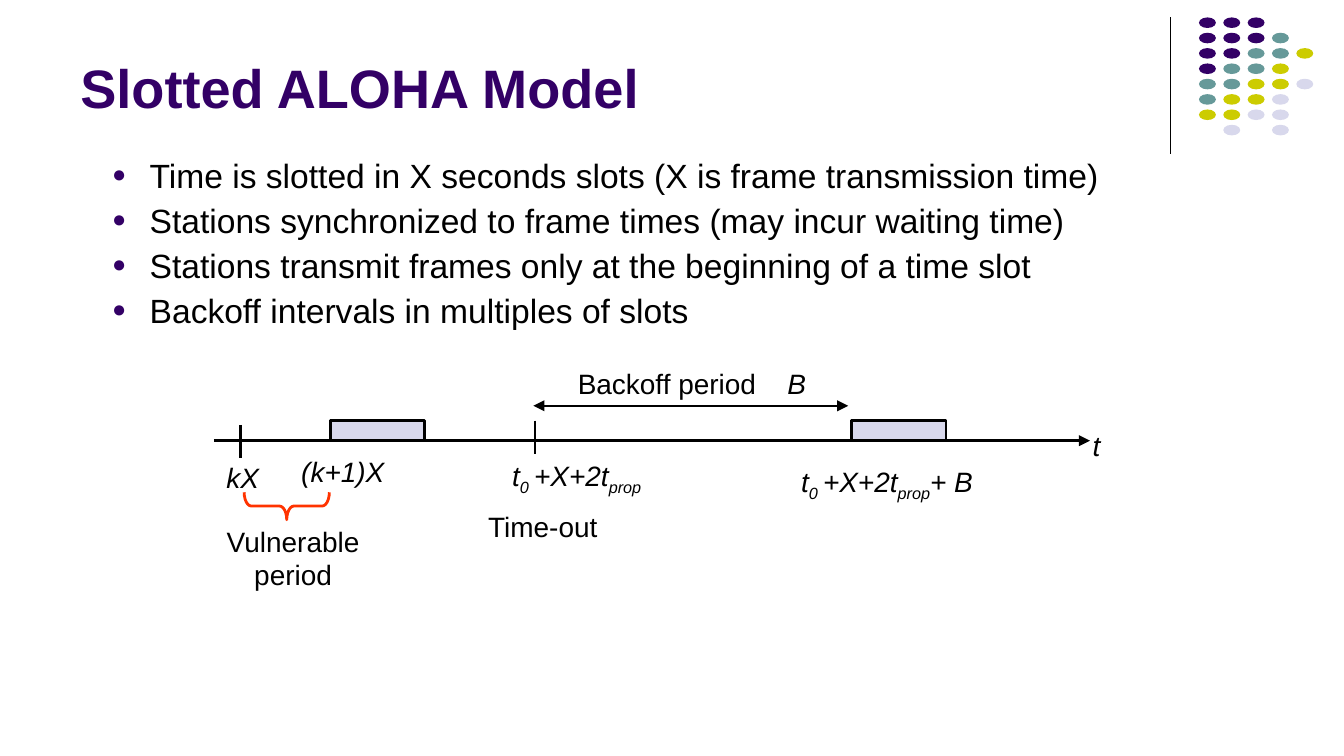
from lxml import etree
from pptx import Presentation
from pptx import util as u
from pptx.dml.color import RGBColor
from pptx.enum import shapes, text
from pptx.oxml import ns

INK = RGBColor(0, 0, 0)
PLUM = RGBColor(0x33, 0x00, 0x66)
TEAL = RGBColor(0x66, 0x99, 0x99)
LIME = RGBColor(0xCC, 0xCC, 0x00)
MIST = RGBColor(0xD8, 0xD8, 0xEC)
RED = RGBColor(0xFF, 0x33, 0x00)
FONT = "Arial"

# Content, lengths in cm
TITLE = "Slotted ALOHA Model"
POINTS = [
    "Time is slotted in X seconds slots (X is frame transmission time)",
    "Stations synchronized to frame times (may incur waiting time)",
    "Stations transmit frames only at the beginning of a time slot",
    "Backoff intervals in multiples of slots",
]
DOTS = ["PPP", "PPPT", "PPTTL", "PTTL", "TTLLM", "TLLM", "LLMM", " M M"]
HUES = {"P": PLUM, "T": TEAL, "L": LIME, "M": MIST}

AXIS = 8.33  # height of the time axis
FRAMES = [6.25, 16.1]  # left edges
FRAME = (1.78, 0.38)
# start, end, width in points, ends that carry an arrowhead
LINES = [
    ((22.12, 0.33), (22.12, 2.92), 0.75, ()),
    ((4.04, AXIS), (20.6, AXIS), 1.5, ("tailEnd",)),
    ((4.55, 8.03), (4.55, 8.66), 1.5, ()),
    ((10.11, 7.95), (10.11, 8.58), 1.5, ()),
    ((10.08, 7.67), (16.03, 7.67), 1, ("headEnd", "tailEnd")),
]
# Runs are (text, marks): i italic, _ subscript, s small
TIMER = [("t", "i"), ("0", "i_"), (" ", "is"), ("+X+2t", "i"), ("prop", "i_")]
LABELS = [
    ([("t", "i")], (20.6, 8.1, 0.25, 0.64), "CENTER"),
    ([("(k+1)X", "i")], (5.58, 8.59, 1.8, 0.64), "CENTER"),
    ([("kX", "i")], (4.19, 8.71, 0.8, 0.64), "CENTER"),
    (TIMER, (9.68, 8.66, 4.42, 0.71), "LEFT"),
    (TIMER + [("+ B", "i")], (15.14, 8.79, 4.39, 0.71), "LEFT"),
    ([("Vulnerable", ""), ("\v", ""), ("period", "")],
     (4.27, 9.91, 2.54, 1.27), "CENTER"),
    ([("Time-out", "")], (9.16, 9.63, 2.2, 0.64), "CENTER"),
    ([("Backoff period\t", ""), ("B", "i")], (10.92, 6.93, 4.62, 0.64), "LEFT"),
]
TAB = 3.96  # tab stop between "Backoff period" and B

deck = Presentation()
deck.slide_width, deck.slide_height = u.Cm(25.4), u.Cm(14.29)
page = deck.slides.add_slide(deck.slide_layouts[6])


def add_node(parent, name, **attrs):
    return etree.SubElement(parent, ns.qn("a:" + name), attrs)


def add_text(paras, box, size=15, color=INK, bold=False, align="LEFT",
             anchor="TOP", inset=None, before=0, pitch=None, bullet=False):
    frame = page.shapes.add_textbox(*map(u.Cm, box)).text_frame
    frame.word_wrap = True
    frame.vertical_anchor = text.MSO_ANCHOR[anchor]
    if inset is not None:
        frame.margin_left = frame.margin_right = u.Cm(inset)
        frame.margin_top = frame.margin_bottom = u.Cm(inset)
    for n, runs in enumerate(paras):
        para = frame.add_paragraph() if n else frame.paragraphs[0]
        para.alignment = text.PP_ALIGN[align]
        para.space_before = u.Pt(before)
        if pitch:
            para.line_spacing = pitch
        props = para._p.get_or_add_pPr()
        if bullet:
            props.set("marL", str(u.Cm(0.71)))
            props.set("indent", str(-u.Cm(0.71)))
            add_node(add_node(props, "buClr"), "srgbClr", val=str(PLUM))
            add_node(props, "buSzPct", val="70000")
            add_node(props, "buFont", typeface=FONT)
            add_node(props, "buChar", char="●")
        if any("\t" in words for words, _ in runs):
            stops = add_node(props, "tabLst")
            add_node(stops, "tab", pos=str(u.Cm(TAB)), algn="l")
        for words, marks in runs:
            if words == "\v":
                para.add_line_break()
                continue
            run = para.add_run()
            run.text = words
            font = run.font
            font.name, font.bold, font.italic = FONT, bold, "i" in marks
            font.size = u.Pt(10 if "s" in marks else size)
            font.color.rgb = color
            if "_" in marks:
                run._r.get_or_add_rPr().set("baseline", "-25000")


def add_shape(kind, box, fill=None, line=None):
    part = page.shapes.add_shape(shapes.MSO_SHAPE[kind], *map(u.Cm, box))
    part.shadow.inherit = False
    if fill is None:
        part.fill.background()
    else:
        part.fill.solid()
        part.fill.fore_color.rgb = fill
    if line is None:
        part.line.fill.background()
    else:
        part.line.color.rgb = line
        part.line.width = u.Pt(1.5)
    return part


def add_line(start, end, width, heads):
    wire = page.shapes.add_connector(
        shapes.MSO_CONNECTOR.STRAIGHT, *map(u.Cm, start + end))
    wire.line.color.rgb = INK
    wire.line.width = u.Pt(width)
    for head in heads:
        add_node(wire.line._get_or_add_ln(), head, type="triangle")
    add_node(wire._element.spPr, "effectLst")


# Corner dots
for row, marks in enumerate(DOTS):
    for col, mark in enumerate(marks):
        if mark in HUES:
            add_shape("OVAL", (22.66 + 0.46 * col, 0.33 + 0.29 * row, 0.32, 0.2),
                      fill=HUES[mark])

# Title and bullet points
add_text([[(TITLE, "")]], (1.27, 0.25, 20.96, 2.13), size=29, color=PLUM,
         bold=True, anchor="BOTTOM")
add_text([[(point, "")] for point in POINTS], (1.87, 3.02, 19.41, 3.53),
         size=18, before=9, pitch=0.7, bullet=True)

# Time axis, ticks, frames and brace
for line in LINES:
    add_line(*line)
for left in FRAMES:
    add_shape("RECTANGLE", (left, AXIS - FRAME[1], *FRAME), fill=MIST, line=INK)
brace = add_shape("LEFT_BRACE", (5.16, 8.76, 0.52, 1.61), line=RED)
brace.rotation = 270
brace.adjustments[0] = 0.26

# Labels
for runs, box, align in LABELS:
    add_text([runs], box, align=align, inset=0)

deck.save("out.pptx")
